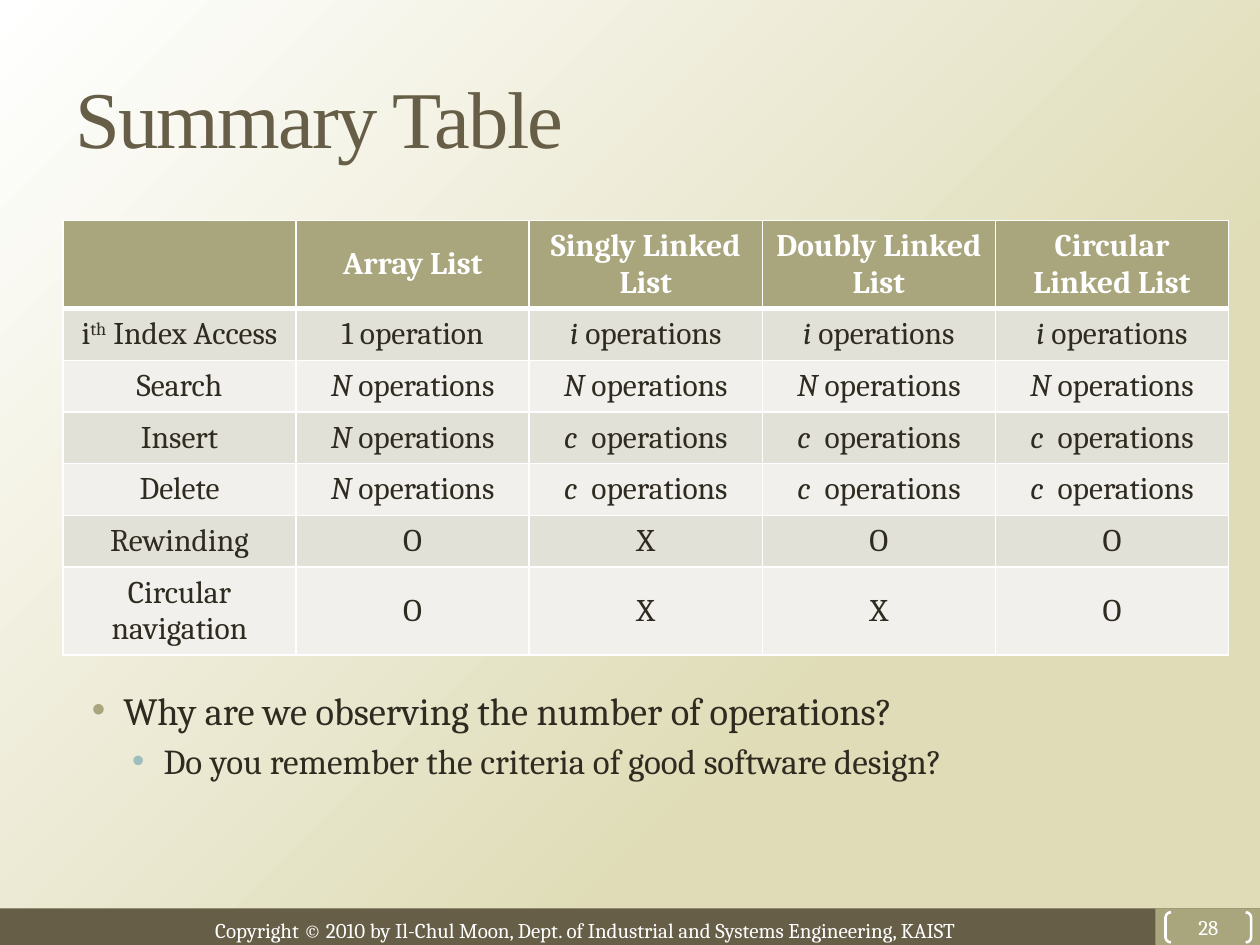
"""Build the list comparison summary slide."""
from lxml import etree
from pptx import Presentation
from pptx import util as u
from pptx.dml.color import RGBColor
from pptx.enum import shapes, text
from pptx.oxml.ns import qn

SERIF, TITLE_FONT = "Cambria", "Times New Roman"
WHITE, BROWN, OLIVE, INK, TAN = "FFFFFF", "675E47", "A9A57C", "2F2B20", "DFDCB7"
BANDS = ["E2E1D7", "F1F0EC"]


def operations(symbol):
    """Return runs for an operation count with an italic symbol."""
    return [(symbol, "italic"), (" operations", "")]


def plain(*words):
    """Return one list of unstyled runs per word."""
    return [[(word, "")] for word in words]


I, N, C = operations("i"), operations("N"), operations("c ")
ROWS = [
    plain("", "Array List", "Singly Linked List", "Doubly Linked List", "Circular Linked List"),
    [[("i", ""), ("th", "super"), (" Index Access", "")], *plain("1 operation"), I, I, I],
    [*plain("Search"), N, N, N, N],
    [*plain("Insert"), N, C, C, C],
    [*plain("Delete"), N, C, C, C],
    plain("Rewinding", "O", "X", "O", "O"),
    plain("Circular navigation", "O", "X", "X", "O"),
]
ROW_HEIGHTS = [0.67] + [0.41] * 5 + [0.67]
COLUMN_WIDTH = 1.85
BULLETS = [
    ("Why are we observing the number of operations?", 22, 0.38, OLIVE, 0),
    ("Do you remember the criteria of good software design?", 20, 0.7, "9CBEBD", 4),
]
FOOTER = "Copyright © 2010 by Il-Chul Moon, Dept. of Industrial and Systems Engineering, KAIST"


def rgb(value):
    return RGBColor.from_string(value)


def style(paragraph, size, color, name=SERIF, bold=False):
    font = paragraph.font
    font.size, font.name, font.bold = u.Pt(size), name, bold
    font.color.rgb = rgb(color)


def add_text(slide, box, content, size, color, name=SERIF, wrap=True):
    frame = slide.shapes.add_textbox(*map(u.Inches, box)).text_frame
    frame.word_wrap = wrap
    paragraph = frame.paragraphs[0]
    paragraph.text = content
    style(paragraph, size, color, name)
    return frame


def add_bar(slide, box, color):
    bar = slide.shapes.add_shape(shapes.MSO_SHAPE.RECTANGLE, *map(u.Inches, box))
    bar.shadow.inherit = False
    bar.fill.solid()
    bar.fill.fore_color.rgb = rgb(color)
    bar.line.fill.background()


def add_border(cell, side, points):
    properties = cell._tc.get_or_add_tcPr()
    line = etree.SubElement(properties, qn(f"a:ln{side}"), w=str(u.Pt(points)))
    fill = etree.SubElement(line, qn("a:solidFill"))
    etree.SubElement(fill, qn("a:srgbClr"), val=WHITE)


def fill_cell(cell, runs, row):
    header = row == 0
    thick = {0: "B", 1: "T"}.get(row)
    for side in "LRTB":
        add_border(cell, side, 3 if side == thick else 1)
    cell.fill.solid()
    cell.fill.fore_color.rgb = rgb(OLIVE if header else BANDS[(row - 1) % 2])
    cell.vertical_anchor = text.MSO_ANCHOR.MIDDLE
    paragraph = cell.text_frame.paragraphs[0]
    paragraph.alignment = text.PP_ALIGN.CENTER
    style(paragraph, 18, WHITE if header else INK, bold=header)
    for content, kind in runs:
        if content:
            run = paragraph.add_run()
            run.text = content
            if kind == "italic":
                run.font.italic = True
            elif kind == "super":
                run._r.get_or_add_rPr().set("baseline", "30000")


def add_summary(slide):
    columns = len(ROWS[0])
    box = (0.5, 1.75, COLUMN_WIDTH * columns, sum(ROW_HEIGHTS))
    table = slide.shapes.add_table(len(ROWS), columns, *map(u.Inches, box)).table
    for row, (cells, height) in enumerate(zip(ROWS, ROW_HEIGHTS)):
        table.rows[row].height = u.Inches(height)
        for column, runs in enumerate(cells):
            fill_cell(table.cell(row, column), runs, row)


def add_bullets(slide):
    frame = slide.shapes.add_textbox(*map(u.Inches, (0.5, 5.4, 9.22, 1.73))).text_frame
    frame.word_wrap = True
    for index, (content, size, indent, color, before) in enumerate(BULLETS):
        paragraph = frame.add_paragraph() if index else frame.paragraphs[0]
        paragraph.text = content
        paragraph.level = index
        properties = paragraph._p.get_or_add_pPr()
        properties.set("marL", str(u.Inches(indent)))
        properties.set("indent", str(u.Inches(-0.25)))
        bullet_color = etree.SubElement(properties, qn("a:buClr"))
        etree.SubElement(bullet_color, qn("a:srgbClr"), val=color)
        etree.SubElement(properties, qn("a:buFont"), typeface="Arial")
        etree.SubElement(properties, qn("a:buChar"), char="•")
        paragraph.space_before = u.Pt(before)
        style(paragraph, size, INK)


def add_page_number(slide):
    box = map(u.Inches, (9.25, 7.24, 0.68, 0.24))
    bracket = slide.shapes.add_shape(shapes.MSO_SHAPE.DOUBLE_BRACKET, *box)
    bracket.shadow.inherit = False
    bracket.adjustments[0] = 0.18
    bracket.fill.background()
    bracket.line.color.rgb = rgb(WHITE)
    bracket.line.width = u.Pt(1.5)
    frame = bracket.text_frame
    frame.margin_left = frame.margin_right = frame.margin_top = frame.margin_bottom = 0
    frame.vertical_anchor = text.MSO_ANCHOR.MIDDLE
    paragraph = frame.paragraphs[0]
    paragraph.text = "28"
    paragraph.alignment = text.PP_ALIGN.CENTER
    style(paragraph, 12, WHITE)


def main():
    presentation = Presentation()
    presentation.slide_width, presentation.slide_height = u.Inches(10), u.Inches(7.5)
    slide = presentation.slides.add_slide(presentation.slide_layouts[6])
    background = slide.background.fill
    background.gradient()
    background.gradient_angle = 135
    for stop, position, color in zip(background.gradient_stops, (0.31, 1), (TAN, WHITE)):
        stop.position = position
        stop.color.rgb = rgb(color)

    add_bar(slide, (0, 7.21, 10, 0.29), BROWN)
    add_bar(slide, (9.17, 7.21, 0.83, 0.29), OLIVE)
    add_text(slide, (1.61, 7.23, 6.41, 0.3), FOOTER, 12, WHITE, wrap=False)
    title = add_text(slide, (0.5, 0.3, 9.22, 1.24), "Summary Table", 46, BROWN, TITLE_FONT)
    title.vertical_anchor = text.MSO_ANCHOR.MIDDLE
    title.paragraphs[0].runs[0]._r.get_or_add_rPr().set("spc", "-100")
    add_summary(slide)
    add_page_number(slide)
    add_bullets(slide)
    presentation.save("out.pptx")


if __name__ == "__main__":
    main()
